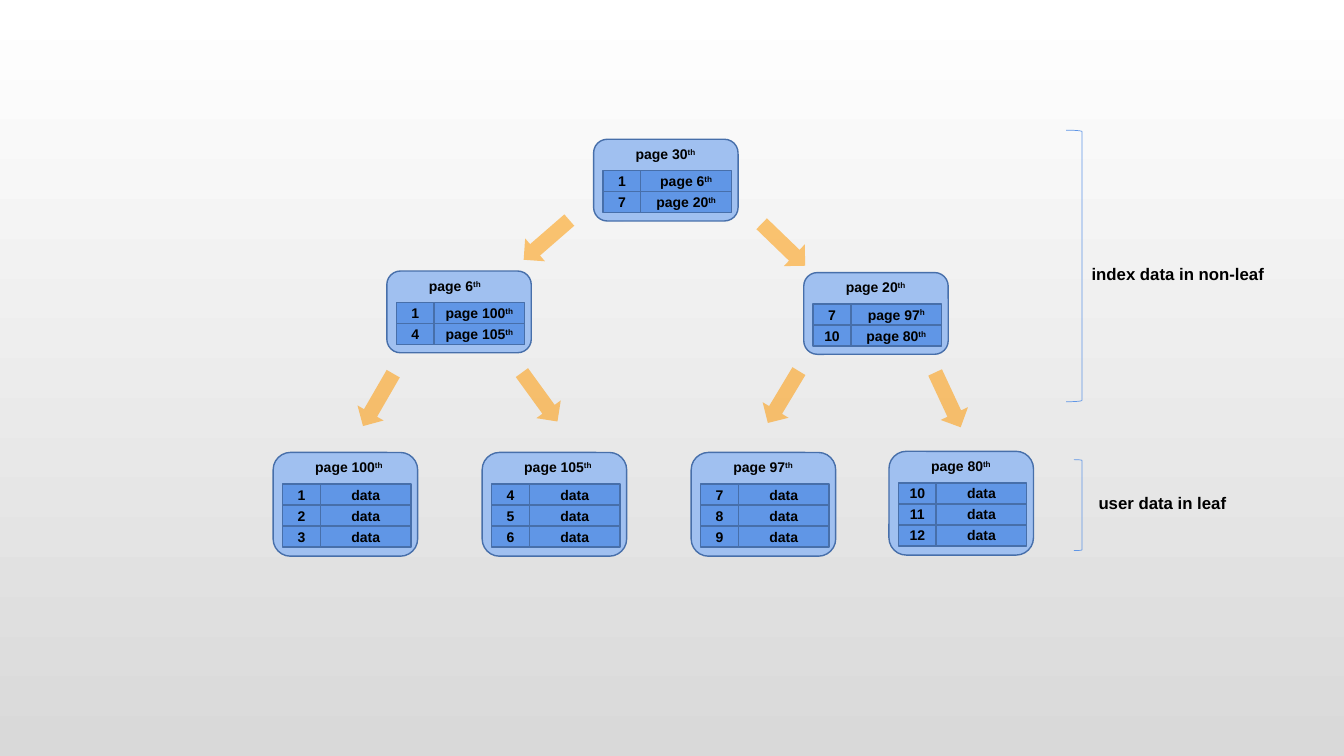
from typing import NamedTuple

from lxml.etree import SubElement
from pptx import Presentation
from pptx.dml.color import RGBColor as Rgb
from pptx.enum.shapes import MSO_SHAPE as Preset
from pptx.enum.text import MSO_ANCHOR as Anchor, MSO_AUTO_SIZE as AutoSize, PP_ALIGN as Align
from pptx.oxml.ns import qn
from pptx.util import Pt

COLORS = {"card": "A0C0F0", "cell": "6096E6", "edge": "476FAA", "arrow": "FF9800",
          "bracket": "6096E6", "text": "000000", "top": "FFFFFF", "bottom": "D9D9D9"}
FONT = {"name": "Arial", "bold": True}
CELL_FRAME = {"margin_left": 0, "margin_right": 0, "margin_top": 0, "margin_bottom": 0,
              "vertical_anchor": Anchor.MIDDLE}
LABEL_FRAME = {"word_wrap": False, "auto_size": AutoSize.SHAPE_TO_FIT_TEXT}

# Card layout in points
CARD_WIDTH = 103.2
ROW_HEIGHT = 15
KEY_WIDTH, VALUE_WIDTH = 27, 64.8
CELL_LEFT, CELL_TOP = 6.7, 22.5
TITLE_LEFT, TITLE_TOP = 23, 1
LEAF_LEFT, LEAF_TOP, LEAF_STEP = 195.1, 323.2, 149.3


class Area(NamedTuple):
    left: float
    top: float
    width: float
    height: float


class Card(NamedTuple):
    left: float
    top: float
    number: int
    rows: list[tuple[int, str]]


class Arrow(NamedTuple):
    left: float
    top: float
    rotation: float


class Bracket(NamedTuple):
    area: Area
    label: str
    label_area: Area


def ordinal(number: int, suffix: str = "th") -> str:
    return f"page {number}^{suffix}"


def leaf(left: float, top: float, number: int, first_key: int) -> Card:
    return Card(left, top, number, [(first_key + step, "data") for step in range(3)])


CARDS = [
    Card(424, 99.5, 30, [(1, ordinal(6)), (7, ordinal(20))]),
    Card(276.3, 193.6, 6, [(1, ordinal(100)), (4, ordinal(105))]),
    Card(574.1, 194.7, 20, [(7, ordinal(97, "h")), (10, ordinal(80))]),
    *(leaf(LEAF_LEFT + LEAF_STEP * index, LEAF_TOP, number, 3 * index + 1)
      for index, number in enumerate((100, 105, 97))),
    leaf(635, 322.4, 80, 10),
]
ARROWS = [
    Arrow(368.8, 160.6, 319), Arrow(538, 164, 224),
    Arrow(248.5, 274.8, 300), Arrow(363.9, 272.8, 234),
    Arrow(538, 272.8, 301), Arrow(655.5, 274.8, 245),
]
BRACKETS = [
    Bracket(Area(761.5, 93, 11.3, 194), "index data in non-leaf", Area(772.6, 184.5, 137.5, 21.6)),
    Bracket(Area(767, 328.3, 5.8, 65), "user data in leaf", Area(777.6, 348.3, 105.8, 21.6)),
]


def apply(target, values: dict) -> None:
    for name, value in values.items():
        setattr(target, name, value)


def color(name: str) -> Rgb:
    return Rgb.from_string(COLORS[name])


def write(box, text: str, size: float, align: Align) -> None:
    """Write one paragraph; what follows ^ is raised."""
    para = box.text_frame.paragraphs[0]
    para.alignment = align
    base, _, raised = text.partition("^")
    for part in filter(None, (base, raised)):
        span = para.add_run()
        span.text = part
        apply(span.font, {**FONT, "size": Pt(size)})
        span.font.color.rgb = color("text")
    if raised:
        span.font._element.set("baseline", "30000")


def add_box(preset: Preset, area: Area, fill: str | None, line: str | None, weight: float = 1):
    box = page.shapes.add_shape(preset, *map(Pt, area))
    box.shadow.inherit = False
    if fill:
        box.fill.solid()
        box.fill.fore_color.rgb = color(fill)
    else:
        box.fill.background()
    if line:
        box.line.color.rgb = color(line)
        box.line.width = Pt(weight)
    else:
        box.line.fill.background()
    return box


def add_label(area: Area, text: str, size: float) -> None:
    box = page.shapes.add_textbox(*map(Pt, area))
    apply(box.text_frame, LABEL_FRAME)
    write(box, text, size, Align.LEFT)


def add_card(card: Card) -> None:
    height = 27 + 15.7 * len(card.rows)
    add_box(Preset.ROUNDED_RECTANGLE, Area(card.left, card.top, CARD_WIDTH, height), "card", "edge")
    for index, row in enumerate(card.rows):
        left = card.left + CELL_LEFT
        top = card.top + CELL_TOP + ROW_HEIGHT * index
        for text, width in zip(row, (KEY_WIDTH, VALUE_WIDTH)):
            cell = add_box(Preset.RECTANGLE, Area(left, top, width, ROW_HEIGHT), "cell", "edge")
            apply(cell.text_frame, CELL_FRAME)
            write(cell, str(text), 10, Align.CENTER)
            left += width
    title_width = 46.1 + 5.7 * len(str(card.number))
    add_label(Area(card.left + TITLE_LEFT, card.top + TITLE_TOP, title_width, 19.4),
              ordinal(card.number), 10)


def add_arrow(arrow: Arrow) -> None:
    box = add_box(Preset.LEFT_ARROW, Area(arrow.left, arrow.top, 43.2, 21.6), "arrow", None)
    box.rotation = arrow.rotation
    tint = box._element.spPr.find(qn("a:solidFill"))[0]
    SubElement(tint, qn("a:alpha")).set("val", "54000")


def add_bracket(bracket: Bracket) -> None:
    add_box(Preset.RIGHT_BRACKET, bracket.area, None, "bracket", 0.5)
    add_label(bracket.label_area, bracket.label, 12)


deck = Presentation()
deck.slide_width, deck.slide_height = Pt(960), Pt(540)
page = deck.slides.add_slide(deck.slide_layouts[6])

# Background fading downwards
backdrop = page.background.fill
backdrop.gradient()
backdrop.gradient_angle = 270
for stop, name, position in zip(backdrop.gradient_stops, ("top", "bottom"), (0, 1)):
    stop.color.rgb = color(name)
    stop.position = position

# Tree of pages
for card in CARDS:
    add_card(card)
for arrow in ARROWS:
    add_arrow(arrow)

# Level brackets with labels
for bracket in BRACKETS:
    add_bracket(bracket)

deck.save("out.pptx")
